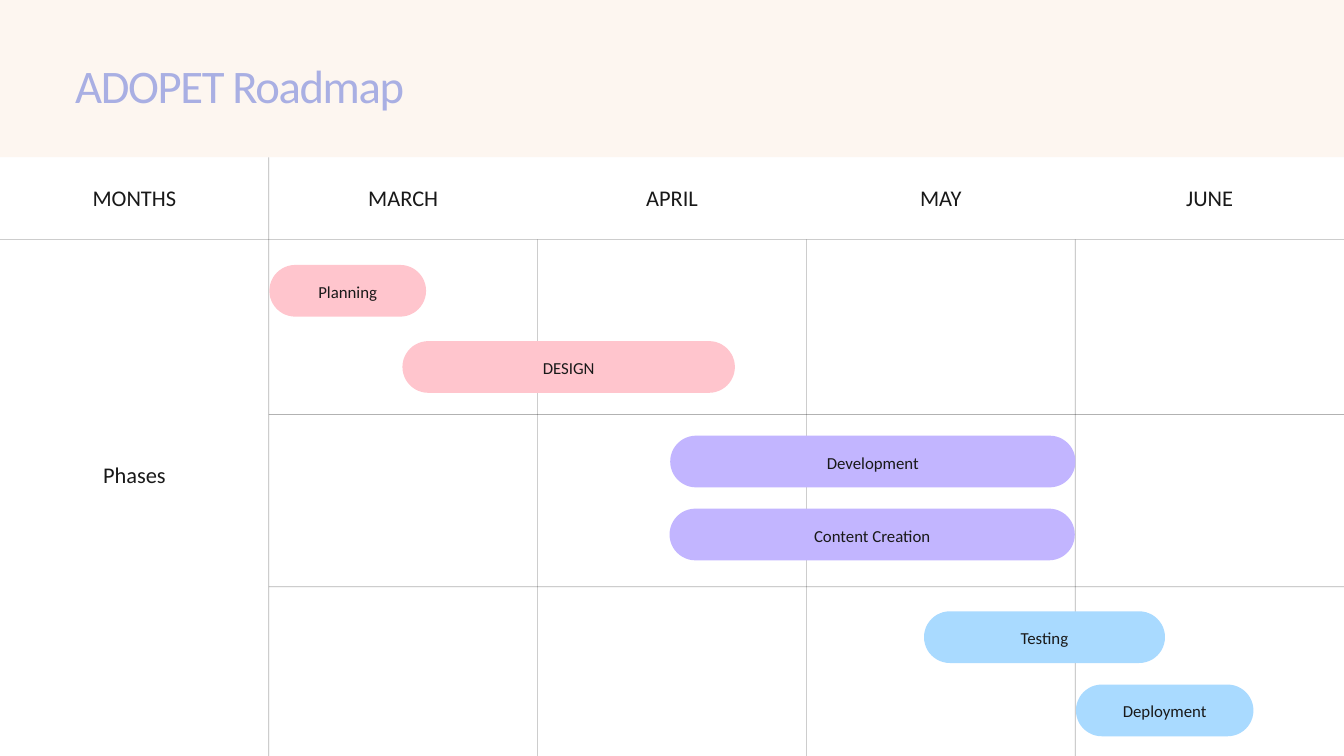
from lxml import etree
from pptx import Presentation
from pptx.dml.color import RGBColor
from pptx.enum import shapes, text
from pptx.oxml.ns import qn
from pptx.util import Pt

WIDTH, HEIGHT = 1440, 810
COL = WIDTH / 5
BAND_H, GRID_TOP = 168.5, 256.5
ROW_LINES = (187.7, 372.1)
BAR_H = 55.4
INK, PINK, PURPLE, BLUE = "191919", "FFC5CD", "C2B5FF", "A9DAFF"
MONTHS = ("MARCH", "APRIL", "MAY", "JUNE")
PHASES = (
    ("Planning", 0.6, 27.4, 167.9, PINK),
    ("DESIGN", 143.2, 109, 356.2, PINK),
    ("Development", 430.1, 210.3, 434.2, PURPLE),
    ("Content Creation", 429.4, 288.5, 434.2, PURPLE),
    ("Testing", 702, 398.5, 258.2, BLUE),
    ("Deployment", 864.8, 477, 190.2, BLUE),
)


def color(value):
    """Return the colour for a hex string."""
    return RGBColor.from_string(value)


def write(sp, content, size=24, fill=INK, align="CENTER", spacing=None,
          anchor="TOP", wrap=True):
    """Put one formatted line of text into a shape."""
    tf = sp.text_frame
    tf.margin_left = tf.margin_right = tf.margin_top = tf.margin_bottom = 0
    tf.word_wrap = wrap
    tf.vertical_anchor = getattr(text.MSO_ANCHOR, anchor)
    p = tf.paragraphs[0]
    p.alignment = getattr(text.PP_ALIGN, align)
    p.line_spacing = Pt(size * 1.3)
    r = p.add_run()
    r.text = content
    r.font.name, r.font.size = "Calibri", Pt(size)
    r.font.color.rgb = color(fill)
    if spacing is not None:
        r._r.get_or_add_rPr().set("spc", str(round(spacing * 100)))


def add_block(slide, kind, x, y, w, h, fill):
    """Add a flat filled shape without an outline."""
    sp = slide.shapes.add_shape(kind, Pt(x), Pt(y), Pt(w), Pt(h))
    sp.shadow.inherit = False
    sp.fill.solid()
    sp.fill.fore_color.rgb = color(fill)
    sp.line.fill.background()
    return sp


def add_label(slide, content, x, y, w, h, **style):
    """Add a text box."""
    sp = slide.shapes.add_textbox(Pt(x), Pt(y), Pt(w), Pt(h))
    write(sp, content, **style)


def add_rule(slide, x1, y1, x2, y2):
    """Add a thin translucent black line."""
    line = slide.shapes.add_connector(
        shapes.MSO_CONNECTOR.STRAIGHT, Pt(x1), Pt(y1), Pt(x2), Pt(y2))
    line.line.width = Pt(0.75)
    line.line.color.rgb = color("000000")
    rgb = line._element.spPr.find(".//" + qn("a:srgbClr"))
    etree.SubElement(rgb, qn("a:alpha")).set("val", "30000")
    etree.SubElement(line._element.spPr, qn("a:effectLst"))


def add_title_band(slide, x, y, w, h):
    """Place the tinted band and its title."""
    add_block(slide, shapes.MSO_SHAPE.RECTANGLE, x, y, w, h, "FDF6F0")
    add_label(slide, "ADOPET Roadmap", x + 80.6, y + 55.4, 988.6, 65,
              size=50, fill="A9AFE3", align="LEFT", spacing=-1.5)


def add_month_header(slide, x, y, w, h):
    """Place the month names, each centred in its column."""
    col, label_w = w / 5, 134.6
    for i, name in enumerate(("MONTHS",) + MONTHS):
        add_label(slide, name, x + col * (i + 0.5) - label_w / 2, y + 26.6,
                  label_w, 31.2)
    add_rule(slide, x, y + h, x + w, y + h)
    add_rule(slide, x + col, y, x + col, y + h)


def add_phase_grid(slide, x, y, w, h):
    """Place the grid lines and the phase bars over them."""
    for i in range(len(MONTHS)):
        add_rule(slide, x + i * COL, y, x + i * COL, y + h)
    for dy in ROW_LINES:
        add_rule(slide, x, y + dy, x + w, y + dy)
    for name, dx, dy, bar_w, fill in PHASES:
        sp = add_block(slide, shapes.MSO_SHAPE.ROUNDED_RECTANGLE,
                       x + dx, y + dy, bar_w, BAR_H, fill)
        sp.adjustments[0] = 0.5
        write(sp, name, size=18, anchor="MIDDLE")


def main():
    """Build the roadmap slide."""
    prs = Presentation()
    prs.slide_width, prs.slide_height = Pt(WIDTH), Pt(HEIGHT)
    slide = prs.slides.add_slide(prs.slide_layouts[6])
    add_title_band(slide, 0, 0, WIDTH, BAND_H)
    add_month_header(slide, 0, BAND_H, WIDTH, GRID_TOP - BAND_H)
    add_label(slide, "Phases", COL / 2 - 67.3, 491.8, 134.6, 31.2)
    add_phase_grid(slide, COL, GRID_TOP, WIDTH - COL, HEIGHT - GRID_TOP)
    prs.save("out.pptx")


if __name__ == "__main__":
    main()
